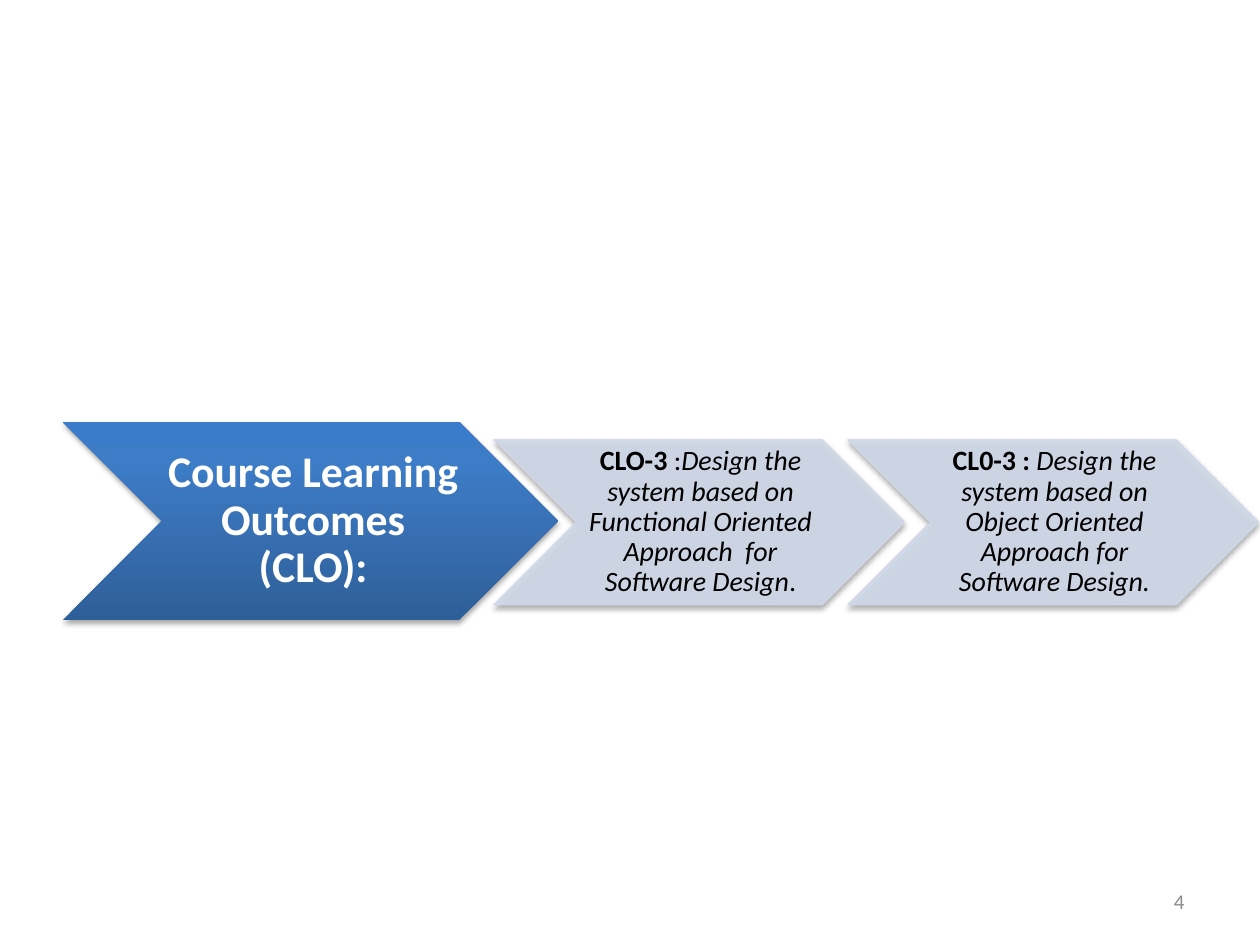
import copy

import lxml.etree
import pptx
import pptx.dml.color
import pptx.enum.shapes
import pptx.enum.text
import pptx.oxml
import pptx.oxml.ns
import pptx.util
from pptx.util import Inches

RGBColor = pptx.dml.color.RGBColor
WHITE = RGBColor(0xFF, 0xFF, 0xFF)
BLACK = RGBColor(0, 0, 0)
GRAY = RGBColor(0x8C, 0x8C, 0x8C)
PALE_BLUE = RGBColor(0xD0, 0xD8, 0xE8)
BLUE_STOPS = [
    (0, RGBColor(0x2F, 0x5F, 0x99)),
    (0.8, RGBColor(0x3D, 0x7C, 0xC7)),
    (1, RGBColor(0x3A, 0x7C, 0xCB)),
]
SHADOW_XML = (
    '<a:outerShdw xmlns:a="http://schemas.openxmlformats.org/drawingml/2006/main" '
    'blurRad="40000" dist="23000" dir="5400000" rotWithShape="0">'
    '<a:srgbClr val="000000"><a:alpha val="35000"/></a:srgbClr></a:outerShdw>'
)
OUTCOMES = [
    [("CLO-3 ", True, False), (":", False, False),
     ("Design the system based on Functional Oriented Approach  for Software Design", False, True),
     (".", False, False)],
    [("CL0-3 :", True, False),
     (" Design the system based on Object Oriented Approach for Software Design.", False, True)],
]


def write_runs(text_frame, runs, size, color, alignment):
    """Fill the frame with one paragraph of (text, bold, italic) runs."""
    text_frame.word_wrap = True
    text_frame.vertical_anchor = pptx.enum.text.MSO_ANCHOR.MIDDLE
    paragraph = text_frame.paragraphs[0]
    paragraph.alignment = alignment
    paragraph.font.name = "Calibri"
    paragraph.font.size = pptx.util.Pt(size)
    paragraph.font.color.rgb = color
    for text, bold, italic in runs:
        run = paragraph.add_run()
        run.text = text
        run.font.bold = bold
        run.font.italic = italic
    return paragraph


def add_chevron(slide, left, top, width, height, runs, size, color, inset):
    """Add a shadowed chevron with centred text."""
    shape = slide.shapes.add_shape(
        pptx.enum.shapes.MSO_SHAPE.CHEVRON,
        Inches(left), Inches(top), Inches(width), Inches(height))
    shape.shadow.inherit = False
    effects = shape._element.spPr.find(pptx.oxml.ns.qn("a:effectLst"))
    effects.append(pptx.oxml.parse_xml(SHADOW_XML))
    text_frame = shape.text_frame
    text_frame.margin_left = Inches(2 * inset)
    text_frame.margin_right = 0
    text_frame.margin_top = text_frame.margin_bottom = Inches(inset)
    paragraph = write_runs(text_frame, runs, size, color, pptx.enum.text.PP_ALIGN.CENTER)
    paragraph.line_spacing = 0.9
    return shape


def paint_gradient(shape):
    """Give the shape the upward blue gradient and no outline."""
    shape.line.fill.background()
    shape.fill.gradient()
    shape.fill.gradient_angle = 90
    stop_list = shape._element.spPr.find(".//" + pptx.oxml.ns.qn("a:gsLst"))
    stop_list.append(copy.deepcopy(stop_list[-1]))
    for stop, (position, color) in zip(shape.fill.gradient_stops, BLUE_STOPS):
        stop.position = position
        stop.color.rgb = color


def paint_pale(shape):
    """Give the shape a slightly transparent pale fill and outline."""
    shape.fill.solid()
    shape.fill.fore_color.rgb = PALE_BLUE
    shape.line.color.rgb = PALE_BLUE
    shape.line.width = pptx.util.Pt(0.75)
    qn = pptx.oxml.ns.qn
    properties = shape._element.spPr
    for color in properties.findall(".//" + qn("a:solidFill") + "/" + qn("a:srgbClr")):
        lxml.etree.SubElement(color, qn("a:alpha")).set("val", "90000")


def add_slide_number(slide):
    """Add the page number at the lower right."""
    box = slide.shapes.add_textbox(Inches(7.17), Inches(6.95), Inches(2.33), Inches(0.4))
    write_runs(box.text_frame, [("4", False, False)], 12, GRAY,
               pptx.enum.text.PP_ALIGN.RIGHT)


def main():
    """Build and save the course outcomes slide."""
    presentation = pptx.Presentation()
    presentation.slide_width = Inches(10)
    presentation.slide_height = Inches(7.5)
    slide = presentation.slides.add_slide(presentation.slide_layouts[6])
    heading = [("Course Learning Outcomes (CLO):", True, False)]
    paint_gradient(add_chevron(slide, 0.5, 3.35, 3.93, 1.57, heading, 25, WHITE, 0.02))
    for index, runs in enumerate(OUTCOMES):
        paint_pale(add_chevron(
            slide, 3.92 + 2.81 * index, 3.49, 3.26, 1.31, runs, 16, BLACK, 0.01))
    add_slide_number(slide)
    presentation.save("out.pptx")


if __name__ == "__main__":
    main()
